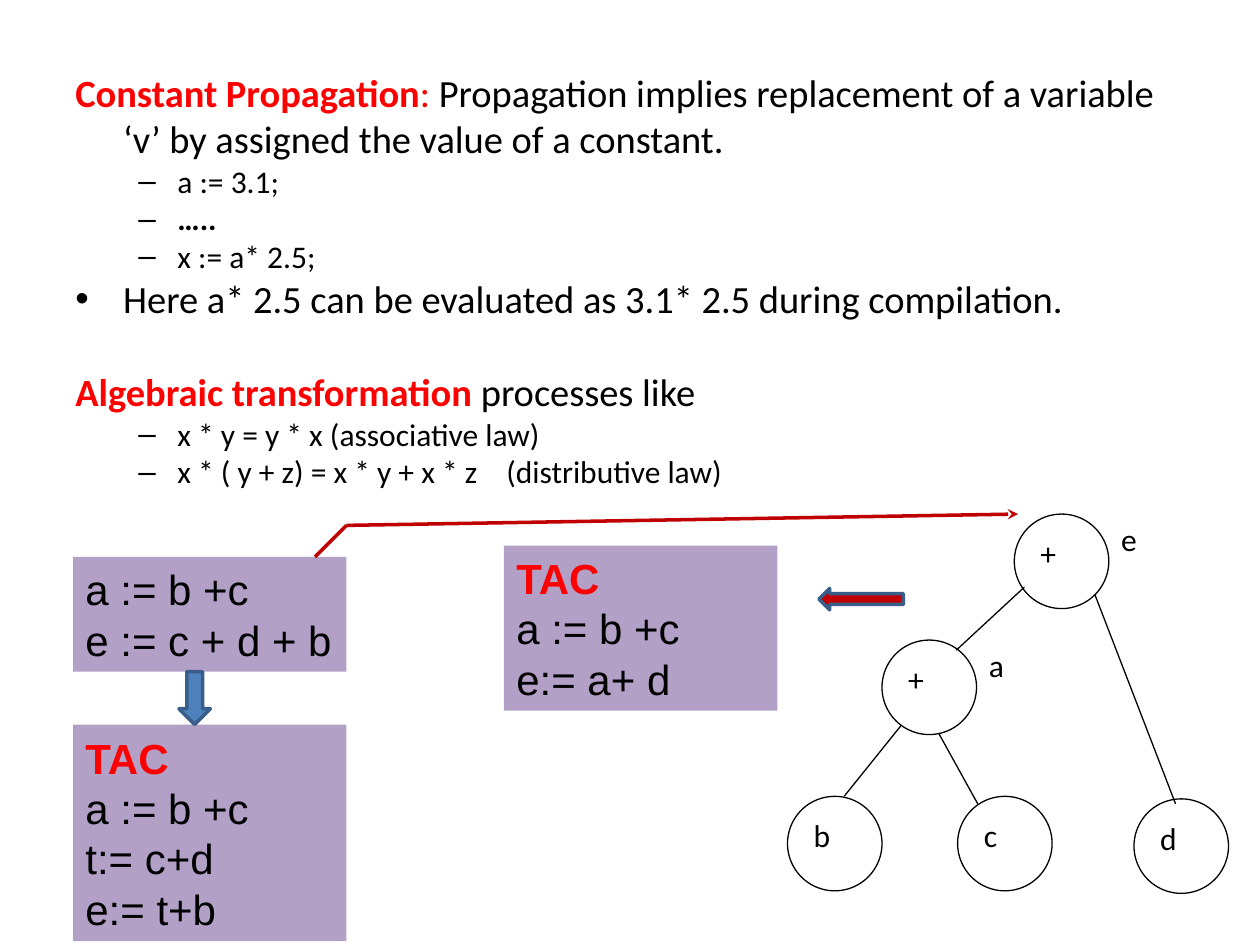
"""Build a slide on constant propagation and algebraic transformation."""
from dataclasses import dataclass

import pptx
import pptx.dml.color
import pptx.enum.shapes
import pptx.enum.text
import pptx.oxml.ns
import pptx.util
from lxml import etree

Inches = pptx.util.Inches
Pt = pptx.util.Pt
Shape = pptx.enum.shapes.MSO_SHAPE
Anchor = pptx.enum.text.MSO_ANCHOR
Align = pptx.enum.text.PP_ALIGN
qn = pptx.oxml.ns.qn

BLACK, RED, WHITE = "000000", "FF0000", "FFFFFF"
LILAC, BLUE, NAVY, CRIMSON = "B2A0C7", "4F81BD", "395E89", "C00000"
NODE_SIZE = 0.75


@dataclass
class Line:
    spans: list[tuple[str, str, bool]]
    size: int = 22
    bullet: str = ""
    margin: float = 0.38
    hanging: float = 0.38
    before: int = 0
    tab: float = 0


@dataclass
class CodeBox:
    left: float
    top: float
    height: float
    lines: list[str]


@dataclass
class Node:
    left: float
    top: float
    text: str
    label: str = ""


@dataclass
class Edge:
    start: tuple[float, float]
    end: tuple[float, float]
    color: str = BLACK
    width: float = 0.75
    arrow: bool = False


def step(text: str, bold: bool = False, tab: float = 0) -> Line:
    return Line([(text, BLACK, bold)], 18, "–", 0.81, 0.31, tab=tab)


BODY = [
    Line([("Constant Propagation", RED, True), (": ", RED, False),
          ("Propagation implies replacement of a variable ‘v’ by assigned "
           "the value of a constant.", BLACK, False)]),
    step("a := 3.1;"),
    step("…..", bold=True),
    step("x := a* 2.5;"),
    Line([("Here a* 2.5 can be evaluated as 3.1* 2.5 during compilation.", BLACK, False)],
         bullet="•"),
    Line([("Algebraic transformation ", RED, True), ("processes like", BLACK, False)],
         margin=0.31, hanging=0.31, before=27),
    step("x * y = y * x (associative law)"),
    step("x * ( y + z) = x * y + x * z\t(distributive law)", tab=3.42),
]
CODE_BOXES = [
    CodeBox(0.58, 4.42, 0.91, ["a := b +c", "e := c + d + b"]),
    CodeBox(0.58, 5.75, 1.72, ["TAC", "a := b +c", "t:= c+d", "e:= t+b"]),
    CodeBox(4, 4.33, 1.31, ["TAC", "a := b +c", "e:= a+ d"]),
]
NODES = [
    Node(6.25, 6.32, "b"),
    Node(7.6, 6.32, "c"),
    Node(7, 5.08, "+", "a"),
    Node(8.05, 4.08, "+", "e"),
    Node(9, 6.34, "d"),
]
EDGES = [
    Edge((7.15, 5.76), (6.7, 6.32)),
    Edge((7.45, 5.82), (7.76, 6.38)),
    Edge((7.59, 5.16), (8.13, 4.66)),
    Edge((8.69, 4.72), (9.33, 6.38)),
    Edge((2.75, 4.17), (8.08, 4.08), CRIMSON, 2, True),
    Edge((2.5, 4.42), (2.75, 4.17), CRIMSON, 2),
]


def rgb(color: str) -> pptx.dml.color.RGBColor:
    return pptx.dml.color.RGBColor.from_string(color)


def add_child(parent, tag: str, **attributes: str):
    return etree.SubElement(parent, qn(tag), attributes)


def set_font(font, name: str, size: int) -> None:
    font.name, font.size = name, Pt(size)


def add_text(page, left: float, top: float, width: float, height: float):
    box = page.shapes.add_textbox(Inches(left), Inches(top), Inches(width), Inches(height))
    box.text_frame.word_wrap = True
    return box.text_frame


def add_span(para, text: str, color: str, bold: bool = False) -> None:
    span = para.add_run()
    span.text = text
    span.font.bold = bold
    span.font.color.rgb = rgb(color)


def add_body(page, lines: list[Line]) -> None:
    frame = add_text(page, 0.5, 0.5, 9, 6.2)
    for index, line in enumerate(lines):
        para = frame.add_paragraph() if index else frame.paragraphs[0]
        props = para._p.get_or_add_pPr()
        props.set("marL", str(Inches(line.margin)))
        props.set("indent", str(-Inches(line.hanging)))
        if line.bullet:
            add_child(add_child(props, "a:buClr"), "a:srgbClr", val=BLACK)
            add_child(props, "a:buFont", typeface="Arial")
            add_child(props, "a:buChar", char=line.bullet)
        else:
            add_child(props, "a:buNone")
        if line.tab:
            add_child(add_child(props, "a:tabLst"), "a:tab",
                      pos=str(Inches(line.tab)), algn="l")
        if line.before:
            para.space_before = Pt(line.before)
        set_font(para.font, "Calibri", line.size)
        for span in line.spans:
            add_span(para, *span)


def add_block(page, kind, left: float, top: float, width: float, height: float,
              fill: str, outline: str = "", weight: float = 0):
    block = page.shapes.add_shape(kind, Inches(left), Inches(top), Inches(width), Inches(height))
    block.shadow.inherit = False
    block.fill.solid()
    block.fill.fore_color.rgb = rgb(fill)
    if outline:
        block.line.color.rgb = rgb(outline)
        block.line.width = Pt(weight)
    else:
        block.line.fill.background()
    return block


def add_code(page, code: CodeBox) -> None:
    frame = add_block(page, Shape.RECTANGLE, code.left, code.top, 2.17, code.height,
                      LILAC).text_frame
    frame.vertical_anchor = Anchor.MIDDLE
    for index, text in enumerate(code.lines):
        para = frame.add_paragraph() if index else frame.paragraphs[0]
        para.alignment = Align.JUSTIFY
        set_font(para.font, "Arial", 24)
        heading = text == "TAC"
        add_span(para, text, RED if heading else BLACK, heading)


def write_symbol(frame, text: str) -> None:
    para = frame.paragraphs[0]
    para.alignment = Align.LEFT
    set_font(para.font, "Calibri", 18)
    add_span(para, text, BLACK)


def add_node(page, node: Node) -> None:
    frame = add_block(page, Shape.OVAL, node.left, node.top, NODE_SIZE, NODE_SIZE,
                      WHITE, BLACK, 0.75).text_frame
    frame.vertical_anchor = Anchor.TOP
    write_symbol(frame, node.text)
    if node.label:
        write_symbol(add_text(page, node.left + NODE_SIZE, node.top, 0.6, 0.5), node.label)


def add_edge(page, edge: Edge) -> None:
    points = [Inches(value) for value in (*edge.start, *edge.end)]
    line = page.shapes.add_connector(pptx.enum.shapes.MSO_CONNECTOR.STRAIGHT, *points)
    line.line.color.rgb = rgb(edge.color)
    line.line.width = Pt(edge.width)
    if edge.arrow:
        add_child(line.line._get_or_add_ln(), "a:tailEnd", type="stealth")
    add_child(line._element.spPr, "a:effectLst")


def main() -> None:
    deck = pptx.Presentation()
    deck.slide_width, deck.slide_height = Inches(10), Inches(7.5)
    page = deck.slides.add_slide(deck.slide_layouts[6])
    add_body(page, BODY)
    for code in CODE_BOXES:
        add_code(page, code)
    for node in NODES:
        add_node(page, node)
    for edge in EDGES:
        add_edge(page, edge)
    add_block(page, Shape.DOWN_ARROW, 1.42, 5.33, 0.25, 0.42, BLUE, NAVY, 2)
    add_block(page, Shape.LEFT_ARROW, 6.5, 4.67, 0.67, 0.17, CRIMSON, NAVY, 2)
    deck.save("out.pptx")


if __name__ == "__main__":
    main()
